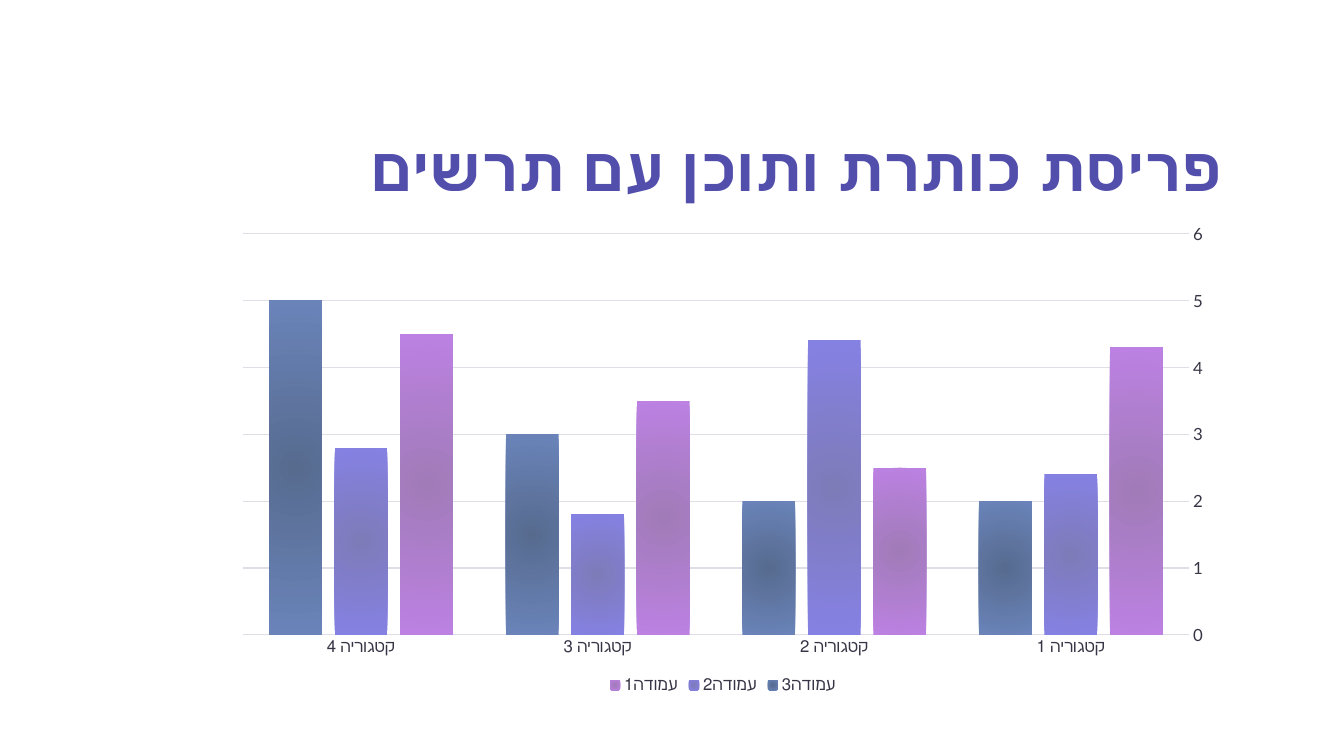
from lxml import etree
from pptx import Presentation
from pptx.chart.data import CategoryChartData
from pptx.dml.color import RGBColor
from pptx.enum.chart import XL_CHART_TYPE as ChartType, XL_LEGEND_POSITION as LegendPos
from pptx.enum.chart import XL_TICK_MARK as Tick
from pptx.enum.text import MSO_ANCHOR as Anchor, PP_ALIGN as Align
from pptx.oxml.ns import qn
from pptx.util import Inches, Pt

FONT = "Lato"
TITLE_COLOR = RGBColor(0x52, 0x4E, 0xAB)
TEXT_COLOR = RGBColor(0x37, 0x35, 0x45)
GRID_COLOR = RGBColor(0xDF, 0xDE, 0xE6)

CATEGORIES = [f"קטגוריה {n}" for n in range(1, 5)]
# Name, values, inner colour, outer colour
SERIES = [
    ("עמודה1", (4.3, 2.5, 3.5, 4.5), RGBColor(0xA1, 0x7B, 0xB8), RGBColor(0xBC, 0x81, 0xE2)),
    ("עמודה2", (2.4, 4.4, 1.8, 2.8), RGBColor(0x7E, 0x7B, 0xB9), RGBColor(0x85, 0x81, 0xE3)),
    ("עמודה3", (2, 2, 3, 5), RGBColor(0x57, 0x6B, 0x8F), RGBColor(0x6A, 0x84, 0xBA)),
]

LEFT, WIDTH = Inches(2.21), Inches(9.92)


def set_all(target, **values):
    for name, value in values.items():
        setattr(target, name, value)


def style_font(font, size, color, bold=False):
    set_all(font, name=FONT, size=Pt(size), bold=bold)
    font.color.rgb = color


def style_line(line):
    line.color.rgb = GRID_COLOR
    line.width = Pt(0.75)


def fill_radial(fill, inner, outer):
    """Fill with a circular gradient running outwards from the centre."""
    fill.gradient()
    for stop, color, position in zip(fill.gradient_stops, (inner, outer), (0, 1)):
        stop.color.rgb = color
        stop.position = position
    # Swap the linear direction for a circular one
    grad = fill.gradient_stops[0]._gs.getparent().getparent()
    linear = grad.find(qn("a:lin"))
    circle = etree.Element(qn("a:path"), {"path": "circle"})
    etree.SubElement(circle, qn("a:fillToRect"), dict.fromkeys("ltrb", "100000"))
    grad.replace(linear, circle)


def add_title(s, text):
    title = s.shapes.title
    set_all(title, left=LEFT, top=Inches(0.77), width=WIDTH, height=Inches(1.25))
    tf = title.text_frame
    set_all(tf, vertical_anchor=Anchor.BOTTOM, word_wrap=True, margin_left=0,
            margin_right=0, margin_top=Inches(0.05), margin_bottom=0)
    p = tf.paragraphs[0]
    set_all(p, alignment=Align.RIGHT, line_spacing=0.8)
    p._p.get_or_add_pPr().set("rtl", "1")
    r = p.add_run()
    r.text = text
    style_font(r.font, 44, TITLE_COLOR, bold=True)


def style_axes(chart):
    cat, val = chart.category_axis, chart.value_axis
    for axis in (cat, val):
        set_all(axis, major_tick_mark=Tick.NONE, minor_tick_mark=Tick.NONE)
        style_font(axis.tick_labels.font, 12, TEXT_COLOR)
    # Categories run right to left, which puts the values on the right
    cat.reverse_order = True
    style_line(cat.format.line)
    set_all(val, minimum_scale=0, maximum_scale=6, major_unit=1, has_major_gridlines=True)
    val.format.line.fill.background()
    style_line(val.major_gridlines.format.line)


def add_column_chart(s):
    data = CategoryChartData()
    data.categories = CATEGORIES
    for name, values, *_ in SERIES:
        data.add_series(name, values)
    chart = s.shapes.add_chart(ChartType.COLUMN_CLUSTERED, LEFT, Inches(2.12),
                               WIDTH, Inches(4.8), data).chart
    set_all(chart, has_title=False, has_legend=True)
    style_font(chart.font, 10, RGBColor(0, 0, 0))
    style_axes(chart)
    # Columns
    plot = chart.plots[0]
    set_all(plot, gap_width=100, overlap=-24, vary_by_categories=False)
    for series, (_, _, inner, outer) in zip(plot.series, SERIES):
        fill_radial(series.format.fill, inner, outer)
    # Legend
    set_all(chart.legend, position=LegendPos.BOTTOM, include_in_layout=False)
    style_font(chart.legend.font, 12, TEXT_COLOR)


def main():
    prs = Presentation()
    set_all(prs, slide_width=Inches(13.33), slide_height=Inches(7.5))
    s = prs.slides.add_slide(prs.slide_layouts[5])
    add_title(s, "פריסת כותרת ותוכן עם תרשים")
    add_column_chart(s)
    prs.save("out.pptx")


if __name__ == "__main__":
    main()
